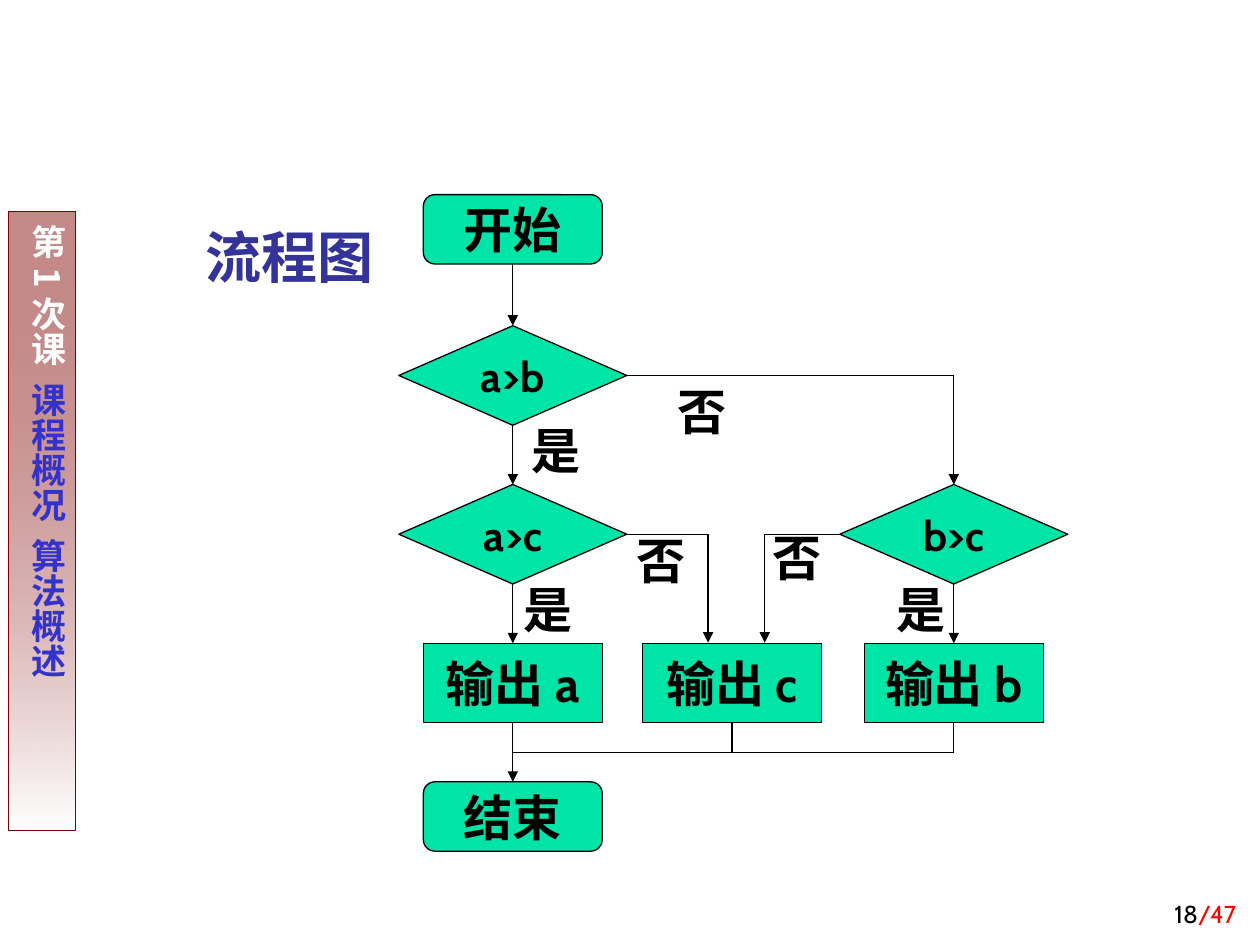
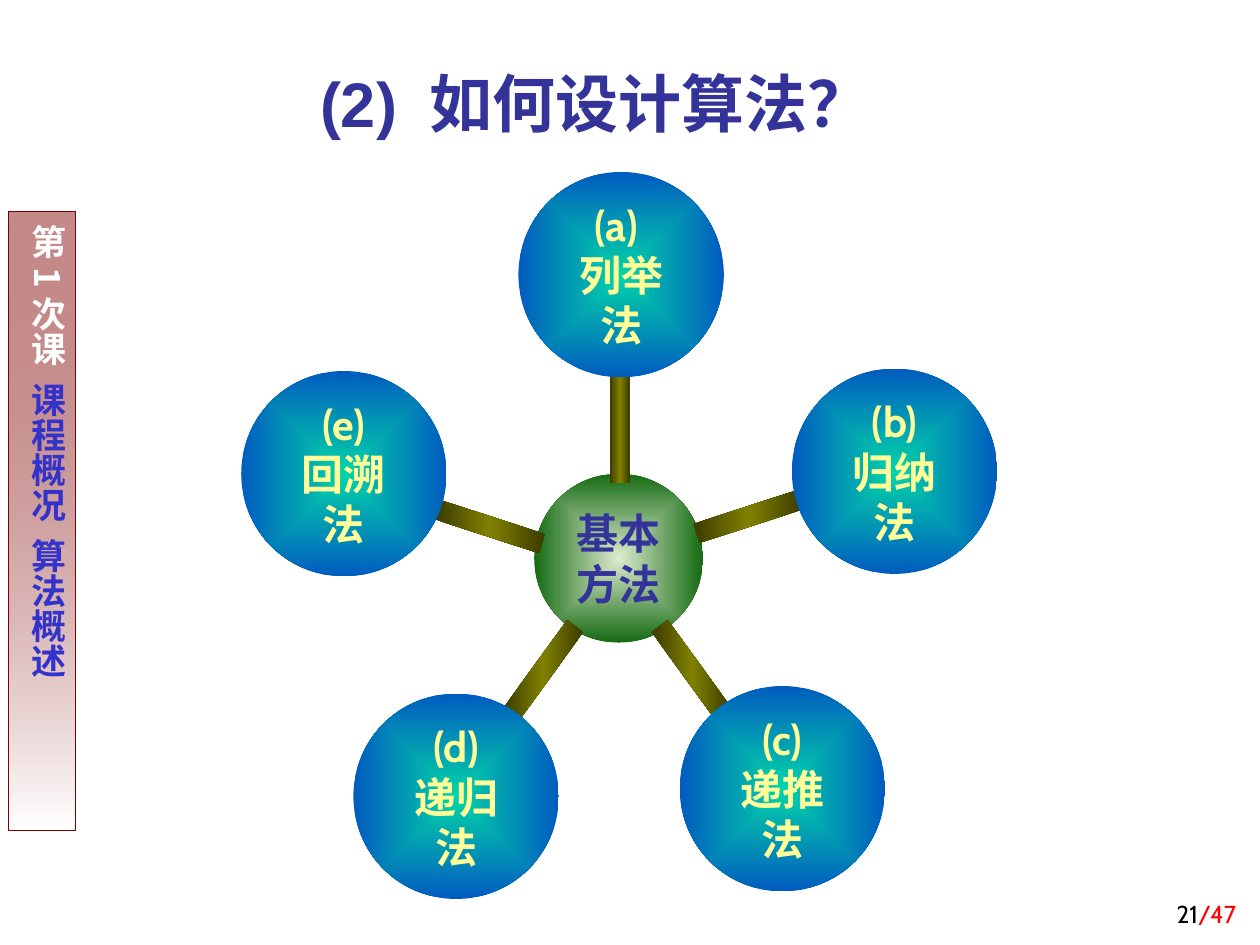
from collections.abc import Sequence
from dataclasses import dataclass

import lxml.etree
import pptx
import pptx.dml.color
import pptx.enum.shapes
import pptx.enum.text
import pptx.oxml
import pptx.oxml.ns
import pptx.util

Inches = pptx.util.Inches
Shapes = pptx.enum.shapes.MSO_SHAPE
Align = pptx.enum.text.PP_ALIGN
Anchor = pptx.enum.text.MSO_ANCHOR

# Shared look
BLACK, WHITE, RED = "000000", "FFFFFF", "FF0000"
TITLE_BLUE, TOPIC_BLUE = "333399", "3333CC"
MAROON, MINT, PALE_YELLOW = "800000", "00E4A8", "FFFF99"
LATIN_FONT, TITLE_FONT, CHINESE_FONT = "Cabin", "Arial", "Noto Sans CJK SC"
PAGE_COUNT = 47
TOP, BOTTOM, LEFT, RIGHT = 0, 2, 1, 3  # connection sites


@dataclass
class Span:
    text: str
    color: str
    spacing: float = 0  # extra points after each character


@dataclass
class Stop:
    position: int
    color: str
    opacity: int = 100


@dataclass
class Node:
    name: str
    text: str
    kind: int
    x: float  # centre
    y: float
    width: float
    height: float
    size: int = 28


@dataclass
class Line:
    start: tuple  # (node name, site) or (x, y)
    end: tuple
    arrow: bool = False


@dataclass
class Method:
    text: str
    center: tuple[float, float]
    spoke: tuple[float, float]


def rgb(color: str) -> pptx.dml.color.RGBColor:
    return pptx.dml.color.RGBColor.from_string(color)


def write(shape, text: str | Sequence[Span], *, size: float, color: str = BLACK,
          font: str = LATIN_FONT, bold: bool = True, align=Align.LEFT,
          anchor=Anchor.TOP, insets: tuple[float, float] = (0.1, 0.05),
          line_spacing: float = 1, space_before: float = 0) -> None:
    """Fill a shape with text; a line break in a string starts a paragraph."""
    frame = shape.text_frame
    frame.word_wrap = True
    frame.vertical_anchor = anchor
    frame.margin_left = frame.margin_right = Inches(insets[0])
    frame.margin_top = frame.margin_bottom = Inches(insets[1])
    if isinstance(text, str):
        paragraphs = [[Span(line, color)] for line in text.split("\n")]
    else:
        paragraphs = [text]
    for index, spans in enumerate(paragraphs):
        para = frame.add_paragraph() if index else frame.paragraphs[0]
        para.alignment = align
        para.line_spacing = line_spacing
        para.space_before = pptx.util.Pt(space_before)
        for span in spans:
            run = para.add_run()
            run.text = span.text
            run.font.size = pptx.util.Pt(size)
            run.font.bold = bold
            run.font.name = font
            run.font.color.rgb = rgb(span.color)
            properties = run.font._element
            latin = properties.find(pptx.oxml.ns.qn("a:latin"))
            east_asian = lxml.etree.Element(pptx.oxml.ns.qn("a:ea"), typeface=CHINESE_FONT)
            latin.addnext(east_asian)
            if span.spacing:
                properties.set("spc", str(round(span.spacing * 100)))


def add_text(page, at: tuple[float, float, float, float], text: str | Sequence[Span],
             **text_format) -> None:
    write(page.shapes.add_textbox(*map(Inches, at)), text, **text_format)


def add_box(page, kind: int, at: tuple[float, float, float, float],
            fill: str | None = None, line: str | None = None):
    box = page.shapes.add_shape(kind, *map(Inches, at))
    box.shadow.inherit = False
    if fill:
        box.fill.solid()
        box.fill.fore_color.rgb = rgb(fill)
    if line:
        box.line.color.rgb = rgb(line)
        box.line.width = pptx.util.Pt(0.75)
    else:
        box.line.fill.background()
    return box


def add_centered(page, kind: int, x: float, y: float, width: float, height: float, **style):
    return add_box(page, kind, (x - width / 2, y - height / 2, width, height), **style)


def fill_gradient(shape, stops: Sequence[Stop], angle: float | None = None) -> None:
    """Linear gradient at an angle, or one spreading from the centre."""
    marks = "".join(
        f'<a:gs pos="{stop.position * 1000}"><a:srgbClr val="{stop.color}">'
        f'<a:alpha val="{stop.opacity * 1000}"/></a:srgbClr></a:gs>'
        for stop in stops)
    if angle is None:
        direction = ('<a:path path="rect">'
                     '<a:fillToRect l="50000" t="50000" r="50000" b="50000"/></a:path>')
    else:
        direction = f'<a:lin ang="{round(angle * 60000)}" scaled="0"/>'
    gradient = pptx.oxml.parse_xml(
        f'<a:gradFill {pptx.oxml.ns.nsdecls("a")} rotWithShape="1">'
        f'<a:gsLst>{marks}</a:gsLst>{direction}</a:gradFill>')
    shape._element.spPr.find(pptx.oxml.ns.qn("a:prstGeom")).addnext(gradient)


def add_line(page, line: Line, nodes: dict) -> None:
    def place(point: tuple) -> tuple:
        return (0, 0) if point[0] in nodes else tuple(map(Inches, point))

    connector = page.shapes.add_connector(
        pptx.enum.shapes.MSO_CONNECTOR.STRAIGHT, *place(line.start), *place(line.end))
    for point, join in ((line.start, connector.begin_connect),
                        (line.end, connector.end_connect)):
        if point[0] in nodes:
            join(nodes[point[0]], point[1])
    connector.line.color.rgb = rgb(BLACK)
    connector.line.width = pptx.util.Pt(0.75)
    if line.arrow:
        outline = connector.line._get_or_add_ln()
        lxml.etree.SubElement(outline, pptx.oxml.ns.qn("a:tailEnd"), type="triangle")
    lxml.etree.SubElement(connector._element.spPr, pptx.oxml.ns.qn("a:effectLst"))


def add_page(deck, number: int):
    """A blank page with the lesson band and the page number."""
    page = deck.slides.add_slide(deck.slide_layouts[6])
    band = add_box(page, Shapes.RECTANGLE, (0.07, 1.68, 0.53, 4.91), line=MAROON)
    fill_gradient(band, [Stop(0, MAROON, 46), Stop(100, WHITE)], angle=90)
    gap = Span(" ", TOPIC_BLUE, spacing=4.5)
    write(band, [Span("第1次课", WHITE), gap, Span("课程概况", TOPIC_BLUE), gap,
                 Span("算法概述", TOPIC_BLUE)],
          size=20, font=CHINESE_FONT, align=Align.CENTER, insets=(0.05, 0.1))
    band.text_frame._txBody.bodyPr.set("vert", "eaVert")
    add_text(page, (7.83, 6.92, 2.08, 0.5),
             [Span(str(number), BLACK), Span(f"/{PAGE_COUNT}", RED)],
             size=14, bold=False, align=Align.RIGHT, anchor=Anchor.BOTTOM)
    return page


def build_flowchart(deck) -> None:
    page = add_page(deck, 18)
    add_text(page, (1.53, 1.78, 1.59, 0.63), "流程图", size=32, color=TITLE_BLUE,
             line_spacing=0.9, space_before=8)

    # Steps, placed by their centres in three columns
    left, middle, right = 4.07, 5.81, 7.57
    first_test, second_test, output, merge = 2.98, 4.24, 5.42, 5.97
    rounded, diamond, block = Shapes.ROUNDED_RECTANGLE, Shapes.DIAMOND, Shapes.RECTANGLE
    steps = [
        Node("start", "开始", rounded, left, 1.82, 1.42, 0.55),
        Node("end", "结束", rounded, left, 6.48, 1.42, 0.55),
        Node("a>b", "a>b", diamond, left, first_test, 1.81, 0.79, 24),
        Node("a>c", "a>c", diamond, left, second_test, 1.81, 0.79, 24),
        Node("b>c", "b>c", diamond, right, second_test, 1.81, 0.79, 24),
        Node("a", "输出a", block, left, output, 1.42, 0.63),
        Node("c", "输出c", block, middle, output, 1.42, 0.63),
        Node("b", "输出b", block, right, output, 1.42, 0.63),
    ]
    nodes = {}
    for step in steps:
        box = add_centered(page, step.kind, step.x, step.y, step.width, step.height,
                           fill=MINT, line=BLACK)
        write(box, step.text, size=step.size, align=Align.CENTER, anchor=Anchor.MIDDLE)
        nodes[step.name] = box

    # Flow lines; bends are made of two straight lines
    left_bend, right_bend, output_top = 5.62, 6.07, 5.1
    lines = [
        Line(("start", BOTTOM), ("a>b", TOP), arrow=True),
        Line(("a>b", BOTTOM), ("a>c", TOP), arrow=True),
        Line(("a>c", BOTTOM), ("a", TOP), arrow=True),
        Line(("a", BOTTOM), ("end", TOP), arrow=True),
        Line(("b>c", BOTTOM), ("b", TOP), arrow=True),
        Line(("a>b", RIGHT), (right, first_test)),
        Line((right, first_test), ("b>c", TOP), arrow=True),
        Line(("a>c", RIGHT), (left_bend, second_test)),
        Line((left_bend, second_test), (left_bend, output_top), arrow=True),
        Line(("b>c", LEFT), (right_bend, second_test)),
        Line((right_bend, second_test), (right_bend, output_top), arrow=True),
        Line(("c", BOTTOM), (middle, merge)),
        Line(("b", BOTTOM), (right, merge)),
        Line((left, merge), (right, merge)),
    ]
    for line in lines:
        add_line(page, line, nodes)

    # Answers beside the branches
    answers = {
        "是": [(4.12, 3.29), (4.06, 4.55), (7.02, 4.55)],
        "否": [(5.28, 2.98), (4.95, 4.16), (6.03, 4.14)],
    }
    for answer, places in answers.items():
        for x, y in places:
            add_text(page, (x, y, 0.59, 0.57), answer, size=28)


def build_methods(deck) -> None:
    page = add_page(deck, 21)
    add_text(page, (1.77, 0.44, 5.91, 0.72), "(2) 如何设计算法？", size=36,
             color=TITLE_BLUE, font=TITLE_FONT, align=Align.CENTER, anchor=Anchor.BOTTOM)

    # Hub
    centered = {"size": 24, "align": Align.CENTER, "anchor": Anchor.MIDDLE}
    hub = add_centered(page, Shapes.OVAL, 4.91, 4.43, 1.34, 1.34)
    fill_gradient(hub, [Stop(0, "DDEBCF"), Stop(100, "156B13")])
    write(hub, "基本方法", color=TITLE_BLUE, **centered)

    # Methods clockwise from the top, each with a spoke to the hub
    methods = [
        Method("(a) \n列举法", (4.93, 2.18), (4.92, 3.4)),
        Method("(b)\n归纳法", (7.1, 3.74), (5.94, 4.1)),
        Method("(c)\n递推法", (6.21, 6.26), (5.49, 5.32)),
        Method("(d)\n递归法", (3.62, 6.32), (4.31, 5.32)),
        Method("(e)\n回溯法", (2.73, 3.76), (3.89, 4.18)),
    ]
    for index, method in enumerate(methods):
        turn = index * 360 / len(methods)
        spoke = add_centered(page, Shapes.RECTANGLE, *method.spoke, 0.16, 0.87)
        spoke.rotation = turn
        fill_gradient(spoke, [Stop(0, "3B3B00"), Stop(50, "808000"), Stop(100, "3B3B00")],
                      angle=-turn % 360)
        disc = add_centered(page, Shapes.OVAL, *method.center, 1.63, 1.63)
        fill_gradient(disc, [Stop(0, "03D4A8"), Stop(100, "005CBF")])
        write(disc, method.text, color=PALE_YELLOW, **centered)


def main() -> None:
    deck = pptx.Presentation()
    deck.slide_width, deck.slide_height = Inches(10), Inches(7.5)
    build_flowchart(deck)
    build_methods(deck)
    deck.save("out.pptx")


if __name__ == "__main__":
    main()
